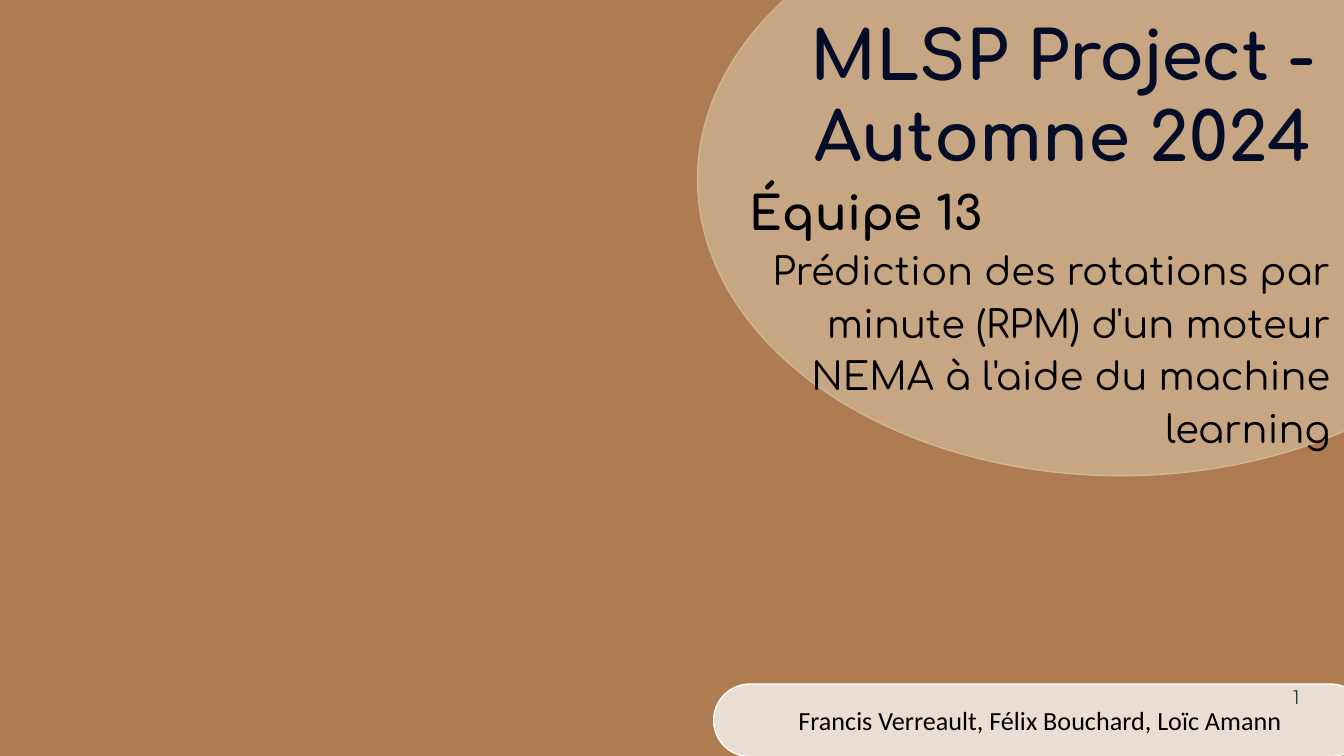
import lxml.etree
import pptx
import pptx.dml.color
import pptx.enum.shapes
import pptx.enum.text
import pptx.oxml.ns
import pptx.util

Inches = pptx.util.Inches
Align = pptx.enum.text.PP_ALIGN
Anchor = pptx.enum.text.MSO_ANCHOR
Shape = pptx.enum.shapes.MSO_SHAPE


def paint(color_format, hex_color, opacity=100):
    """Set a colour, and its opacity in percent."""
    color_format.rgb = pptx.dml.color.RGBColor.from_string(hex_color)
    if opacity < 100:
        color = color_format._xFill.find(pptx.oxml.ns.qn("a:srgbClr"))
        lxml.etree.SubElement(color, pptx.oxml.ns.qn("a:alpha"), val=str(opacity * 1000))


def write(shape, anchor, paragraphs):
    """Fill a shape with (text, font name, size, bold, colour, paragraph format) entries."""
    frame = shape.text_frame
    frame_format = {
        "word_wrap": True, "auto_size": pptx.enum.text.MSO_AUTO_SIZE.NONE,
        "vertical_anchor": anchor, "margin_left": Inches(0.1), "margin_right": Inches(0.1),
        "margin_top": Inches(0.1), "margin_bottom": Inches(0.1),
    }
    for name, value in frame_format.items():
        setattr(frame, name, value)
    for index, (text, font_name, size, bold, color, paragraph_format) in enumerate(paragraphs):
        paragraph = frame.add_paragraph() if index else frame.paragraphs[0]
        for name, value in paragraph_format.items():
            setattr(paragraph, name, value)
        run = paragraph.add_run()
        run.text = text
        font_format = {"name": font_name, "size": pptx.util.Pt(size), "bold": bold}
        for name, value in font_format.items():
            setattr(run.font, name, value)
        paint(run.font.color, color)


# A 16:9 slide
presentation = pptx.Presentation()
presentation.slide_width = Inches(10)
presentation.slide_height = Inches(10) * 9 // 16
slide = presentation.slides.add_slide(presentation.slide_layouts[5])
slide.background.fill.solid()
paint(slide.background.fill.fore_color, "AF7B51")

# Translucent ellipse and authors' pill
panels = []
for kind, left, top, width, height, color, opacity in [
    (Shape.OVAL, 5.19, -0.87, 6.3, 4.41, "CFB693", 76),
    (Shape.ROUNDED_RECTANGLE, 5.31, 5.09, 4.86, 0.54, "FFFFFF", 75),
]:
    panel = slide.shapes.add_shape(kind, Inches(left), Inches(top), Inches(width), Inches(height))
    panel.shadow.inherit = False
    panel.fill.solid()
    paint(panel.fill.fore_color, color, opacity)
    panel.line.width = pptx.util.Pt(0.75)
    panel.line.fill.solid()
    paint(panel.line.fill.fore_color, color)
    panels.append(panel)
ellipse, authors = panels
authors.adjustments[0] = 0.5
write(authors, Anchor.MIDDLE, [
    ("Francis Verreault, Félix Bouchard, Loïc Amann", "Calibri", 14, False, "000000",
     {"alignment": Align.CENTER}),
])

# Team and subject, in front of the ellipse
title = slide.shapes.title
title.element.addprevious(ellipse.element)
title_place = {"left": 5.48, "top": 1.27, "width": 4.52, "height": 3.09}
for name, value in title_place.items():
    setattr(title, name, Inches(value))
write(title, Anchor.TOP, [
    ("Équipe 13", "Comfortaa", 25, True, "000000", {"alignment": Align.LEFT}),
    ("Prédiction des rotations par minute (RPM) d'un moteur NEMA à l'aide du machine learning",
     "Comfortaa", 20.5, False, "000000", {"alignment": Align.RIGHT, "line_spacing": 1.15}),
])

# Project name and page number; the pill stays behind both
project = slide.shapes.add_textbox(Inches(5.48), Inches(0), Inches(4.86), Inches(1.55))
write(project, Anchor.TOP, [
    ("MLSP Project - Automne 2024", "Comfortaa", 36, True, "040C28",
     {"alignment": Align.CENTER}),
])
authors.element.addprevious(project.element)

page_number = slide.shapes.add_textbox(Inches(9.18), Inches(4.97), Inches(0.6), Inches(0.43))
write(page_number, Anchor.MIDDLE, [
    ("1", "TeX Gyre Adventor", 10, False, "233A44", {"alignment": Align.RIGHT}),
])

presentation.save("out.pptx")
